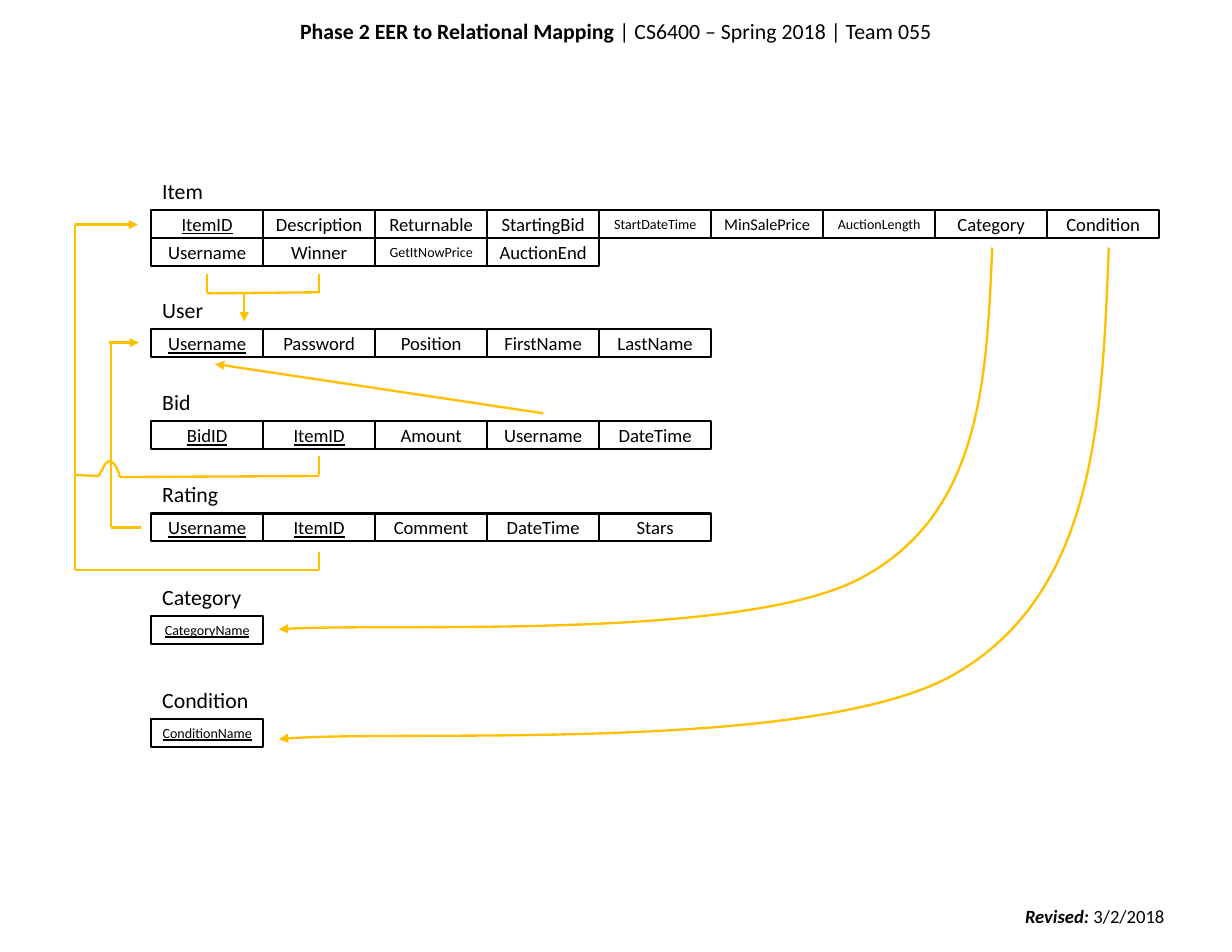
import pptx
import pptx.dml.color
import pptx.enum.shapes
import pptx.enum.text
import pptx.oxml.ns
import pptx.util
from lxml import etree

Pt = pptx.util.Pt
qn = pptx.oxml.ns.qn
RGB = pptx.dml.color.RGBColor.from_string
ALIGN = pptx.enum.text.PP_ALIGN
ANCHOR = pptx.enum.text.MSO_ANCHOR


class Theme:
    font = "Calibri"
    black = RGB("000000")
    white = RGB("FFFFFF")
    arrow = RGB("FFC000")
    heading = Pt(14)
    body = Pt(12)
    medium = Pt(10.5)
    small = Pt(9)
    line = Pt(1.5)


def write_text(shape, parts, size, align, anchor):
    """Fill a shape with one paragraph; parts are (text, style letters)."""
    frame = shape.text_frame
    frame.word_wrap = True
    frame.auto_size = pptx.enum.text.MSO_AUTO_SIZE.NONE
    frame.vertical_anchor = anchor
    paragraph = frame.paragraphs[0]
    paragraph.alignment = align
    for text, style in parts:
        run = paragraph.add_run()
        run.text = text
        run.font.name = Theme.font
        run.font.size = size
        run.font.color.rgb = Theme.black
        run.font.bold = "b" in style
        run.font.italic = "i" in style
        run.font.underline = "u" in style


def style_line(shape, has_arrow):
    """Give a line its colour and width, no shadow, and maybe an arrowhead."""
    shape.line.color.rgb = Theme.arrow
    shape.line.width = Theme.line
    properties = shape.line._get_or_add_ln()
    if has_arrow:
        etree.SubElement(properties, qn("a:tailEnd"), type="triangle")
    if properties.getparent().find(qn("a:effectLst")) is None:
        properties.addnext(etree.Element(qn("a:effectLst")))


presentation = pptx.Presentation()
presentation.slide_width = Pt(792)
presentation.slide_height = Pt(612)
slide = presentation.slides.add_slide(presentation.slide_layouts[5])
shapes = slide.shapes

# Title
title = shapes.title
title.left, title.top, title.width, title.height = Pt(0), Pt(8), Pt(792), Pt(24.2)
write_text(title, [("Phase 2 EER to Relational Mapping", "b"),
                   (" | CS6400 – Spring 2018 | Team 055", "")],
           Theme.heading, ALIGN.CENTER, ANCHOR.TOP)

# Relations: name, top of the first row, rows of attributes, number of key attributes
LEFT, CELL_WIDTH, CELL_HEIGHT, LABEL_HEIGHT = 97.2, 72, 18, 24.2
relations = [
    ("Item", 135, ["ItemID Description Returnable StartingBid StartDateTime "
                   "MinSalePrice AuctionLength Category Condition",
                   "Username Winner GetItNowPrice AuctionEnd"], 1),
    ("User", 211.6, ["Username Password Position FirstName LastName"], 1),
    ("Bid", 270.8, ["BidID ItemID Amount Username DateTime"], 2),
    ("Rating", 330, ["Username ItemID Comment DateTime Stars"], 2),
    ("Category", 396, ["CategoryName"], 1),
    ("Condition", 462.2, ["ConditionName"], 1),
]
text_sizes = {"MinSalePrice": Theme.medium}
for long_name in ("StartDateTime", "AuctionLength", "GetItNowPrice",
                  "CategoryName", "ConditionName"):
    text_sizes[long_name] = Theme.small

for name, top, rows, key_count in relations:
    label = shapes.add_textbox(Pt(LEFT), Pt(top - LABEL_HEIGHT),
                               Pt(103.7), Pt(LABEL_HEIGHT))
    write_text(label, [(name, "")], Theme.heading, ALIGN.LEFT, ANCHOR.TOP)
    for row_index, row in enumerate(rows):
        for column, attribute in enumerate(row.split()):
            cell = shapes.add_shape(
                pptx.enum.shapes.MSO_SHAPE.RECTANGLE,
                Pt(LEFT + column * CELL_WIDTH), Pt(top + row_index * CELL_HEIGHT),
                Pt(CELL_WIDTH), Pt(CELL_HEIGHT))
            cell.shadow.inherit = False
            cell.fill.solid()
            cell.fill.fore_color.rgb = Theme.white
            cell.line.color.rgb = Theme.black
            cell.line.width = Theme.line
            is_key = row_index == 0 and column < key_count
            write_text(cell, [(attribute, "u" if is_key else "")],
                       text_sizes.get(attribute, Theme.body),
                       ALIGN.CENTER, ANCHOR.MIDDLE)

# Straight foreign key lines: start, end, arrowhead
FIRST, SECOND = LEFT + CELL_WIDTH / 2, LEFT + CELL_WIDTH * 1.5
USER_X, ITEM_X = 71.3, 48.2
straight_lines = [
    # Bid to User
    (349.2, 265.7, 138.2, 234, True),
    # Item to User
    (FIRST, 176.4, FIRST, 188.3, False),
    (SECOND, 176.4, SECOND, 188.3, False),
    (FIRST, 188.6, SECOND, 187.9, False),
    (157, 187.9, 157, 206.6, True),
    # Rating to User
    (90.7, 339.1, USER_X, 339.1, False),
    (USER_X, 339.1, USER_X, 220.3, False),
    (69.8, 220.3, 89.3, 220.3, True),
    # Bid to Item
    (SECOND, 293, SECOND, 305.6, False),
    (77, 306.7, SECOND, 306, False),
    (ITEM_X, 305.3, 63.4, 306, False),
    # Rating to Item
    (SECOND, 355, SECOND, 366.5, False),
    (ITEM_X, 366.5, SECOND, 366.5, False),
    (ITEM_X, 366.5, ITEM_X, 144.4, False),
    (ITEM_X, 144.4, 88.6, 144.4, True),
]
for x1, y1, x2, y2, has_arrow in straight_lines:
    connector = shapes.add_connector(pptx.enum.shapes.MSO_CONNECTOR.STRAIGHT,
                                     Pt(x1), Pt(y1), Pt(x2), Pt(y2))
    style_line(connector, has_arrow)

# Curves: start, Bézier segments (two controls and an end), arrowhead
curves = [
    # Item to Category
    ((637.9, 159.1), [[(634.3, 244.8), (630.7, 330.5), (553.7, 371.5)],
                      [(477.4, 412.6), (238.3, 399.6), (179.3, 404.6)]], True),
    # Item to Condition
    ((712.8, 159.1), [[(708.5, 270), (704.2, 380.2), (614.9, 432.7)],
                      [(526.3, 485.3), (247.7, 468), (179.3, 475.2)]], True),
    # Hop where the Bid line crosses the Rating line
    ((63.4, 306), [[(66.2, 301), (68.4, 296), (70.6, 296.4)],
                   [(73.4, 296.6), (76.3, 302.4), (77, 306.7)]], False),
]
for start, segments, has_arrow in curves:
    builder = shapes.build_freeform(Pt(start[0]), Pt(start[1]))
    builder.add_line_segments([(Pt(x), Pt(y)) for x, y in
                               (segment[-1] for segment in segments)], close=False)
    curve = builder.convert_to_shape()
    curve.fill.background()
    style_line(curve, has_arrow)
    # Turn each straight segment into a cubic one
    for line_to, segment in zip(list(curve.element.iter(qn("a:lnTo"))), segments):
        cubic = etree.Element(qn("a:cubicBezTo"))
        for x, y in segment:
            etree.SubElement(cubic, qn("a:pt"), x=str(Pt(x) - curve.left),
                             y=str(Pt(y) - curve.top))
        line_to.getparent().replace(line_to, cubic)

# Revision date
revision = shapes.add_textbox(Pt(609.1), Pt(578.2), Pt(189.4), Pt(21.8))
write_text(revision, [("Revised: ", "bi"), ("3/2/2018", "")],
           Theme.body, ALIGN.CENTER, ANCHOR.TOP)

presentation.save("out.pptx")
